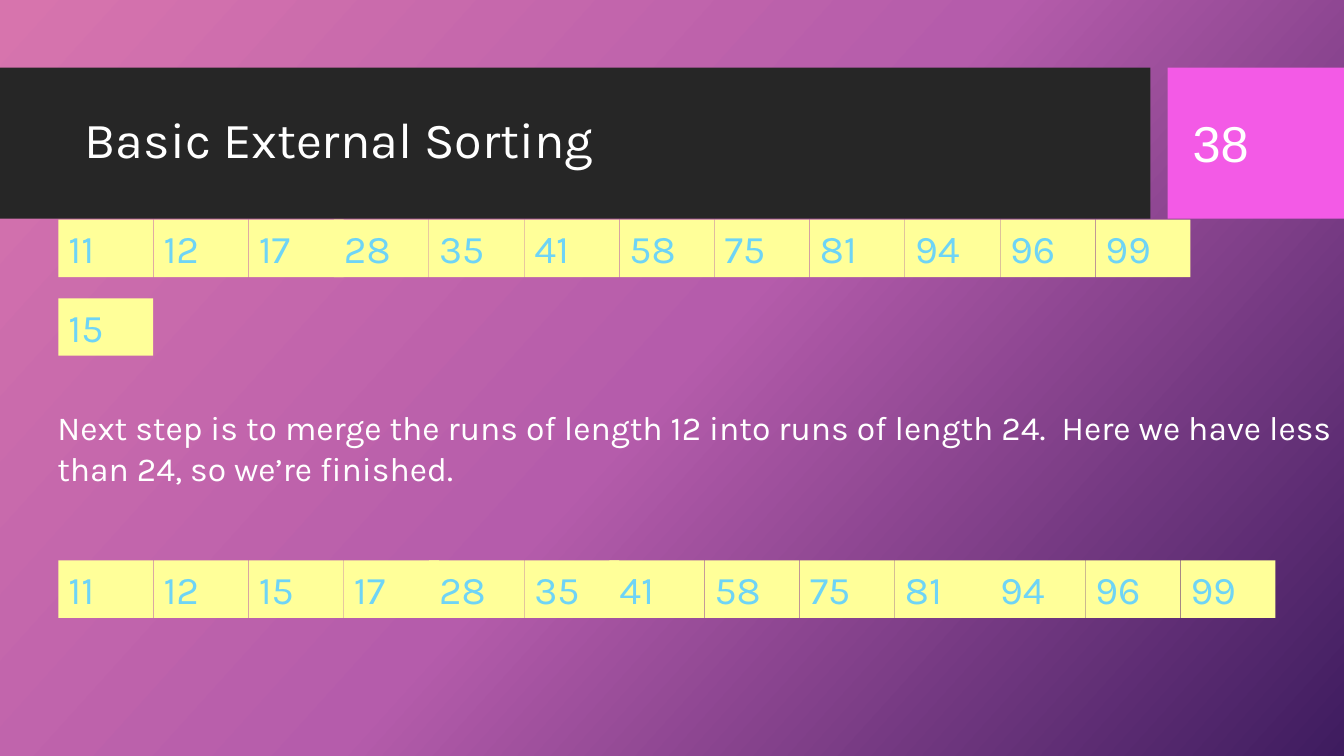
from copy import deepcopy
from dataclasses import dataclass

from pptx import Presentation
from pptx.dml.color import RGBColor
from pptx.enum import shapes, text
from pptx.oxml.ns import qn
from pptx.util import Inches, Pt


@dataclass(frozen=True)
class Theme:
    """Colours, fonts and type sizes."""
    bar: str = "262626"
    badge: str = "F35AE6"
    cell: str = "FFFF99"
    digit: str = "6ED4F6"
    white: str = "FFFFFF"
    back: tuple[str, ...] = ("D774AD", "B55CAB", "3E1C5F")
    font: str = "Karla"
    plain: str = "Arial"
    head: int = 36
    body: int = 24
    item: int = 28


@dataclass(frozen=True)
class Run:
    """A sorted run: its top, its values, and the values that overlap the cell before."""
    top: float
    values: tuple[int, ...]
    tucked: tuple[int, ...] = ()


@dataclass(frozen=True)
class Label:
    """A text box with its place and type."""
    words: str
    box: tuple[float, float, float, float]
    size: int
    font: str
    middle: bool = True
    leading: float = 1.0


THEME = Theme()
LEFT, WIDE, HIGH = Inches(0.58), Inches(0.94), Inches(0.57)
PITCH = Inches(11.33) / 12
TUCK = Inches(0.1)

RUNS = (
    Run(2.18, (11, 12, 17, 28, 35, 41, 58, 75, 81, 94, 96, 99), (28,)),
    Run(2.96, (15,)),
    Run(5.56, (11, 12, 15, 17, 28, 35, 41, 58, 75, 81, 94, 96, 99), (28, 41)),
)
LABELS = (
    Label("38", (11.73, 0.82, 1.26, 1.19), THEME.head, THEME.plain),
    Label("Basic External Sorting", (0.74, 0.82, 10.51, 1.18), THEME.head, THEME.font,
          leading=0.9),
    Label("Next step is to merge the runs of length 12 into runs of length 24.  "
          "Here we have less than 24, so we’re finished.",
          (0.47, 3.99, 12.86, 0.91), THEME.body, THEME.font, middle=False),
)


def paint(slide) -> None:
    """Fill the background with the three-colour gradient."""
    fill = slide.background.fill
    fill.gradient()
    fill.gradient_angle = 360 - 42
    stops = slide.element.find(".//" + qn("a:gsLst"))
    stops.insert(1, deepcopy(stops[0]))
    for index, (stop, colour) in enumerate(zip(fill.gradient_stops, THEME.back)):
        stop.position = index / 2
        stop.color.rgb = RGBColor.from_string(colour)


def block(slide, left: int, top: int, wide: int, high: int, colour: str):
    """Add a plain filled rectangle."""
    shape = slide.shapes.add_shape(shapes.MSO_SHAPE.RECTANGLE, left, top, wide, high)
    shape.shadow.inherit = False
    shape.fill.solid()
    shape.fill.fore_color.rgb = RGBColor.from_string(colour)
    shape.line.fill.background()
    return shape


def write(shape, words: str, size: int, colour: str, font: str, middle: bool = False,
          leading: float = 1.0) -> None:
    """Put left-aligned text in a shape."""
    frame = shape.text_frame
    frame.text = words
    frame.word_wrap = True
    frame.vertical_anchor = text.MSO_ANCHOR.MIDDLE if middle else text.MSO_ANCHOR.TOP
    line = frame.paragraphs[0]
    line.alignment = text.PP_ALIGN.LEFT
    line.line_spacing = leading
    face = line.runs[0].font
    face.size, face.name = Pt(size), font
    face.color.rgb = RGBColor.from_string(colour)


def draw(slide, run: Run) -> None:
    """Draw a run as a row of numbered cells."""
    shift = 0
    for index, value in enumerate(run.values):
        shift += TUCK if value in run.tucked else 0
        left = round(LEFT + index * PITCH - shift)
        cell = block(slide, left, Inches(run.top), WIDE, HIGH, THEME.cell)
        write(cell, str(value), THEME.item, THEME.digit, THEME.font)


def place(slide, label: Label) -> None:
    """Add a label as a text box."""
    box = slide.shapes.add_textbox(*map(Inches, label.box))
    write(box, label.words, label.size, THEME.white, label.font, label.middle, label.leading)


def main() -> None:
    """Build and save the slide."""
    deck = Presentation()
    deck.slide_width, deck.slide_height = Inches(13.33), Inches(7.5)
    slide = deck.slides.add_slide(deck.slide_layouts[6])
    paint(slide)
    for left, wide, colour in ((0, 11.41, THEME.bar), (11.58, 1.75, THEME.badge)):
        block(slide, Inches(left), Inches(0.67), Inches(wide), Inches(1.5), colour)
    for label in LABELS:
        place(slide, label)
    for run in RUNS:
        draw(slide, run)
    deck.save("out.pptx")


main()
